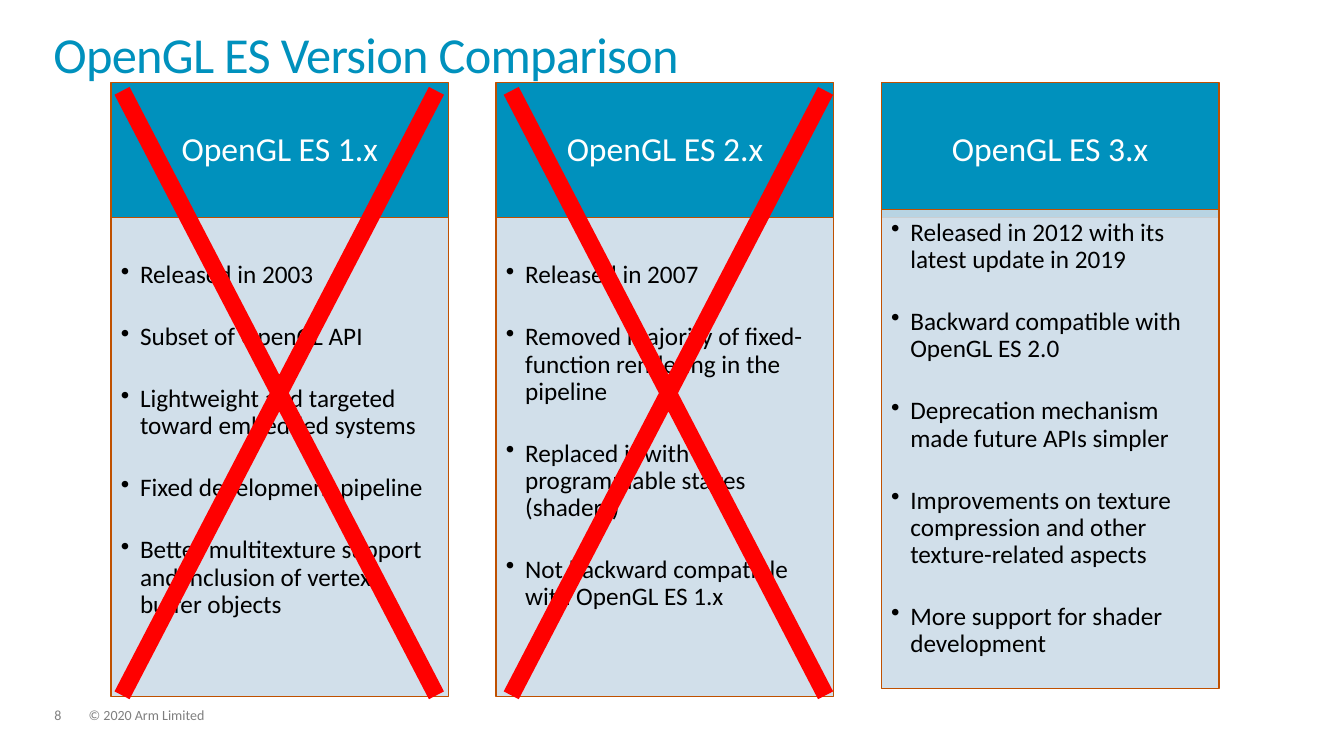
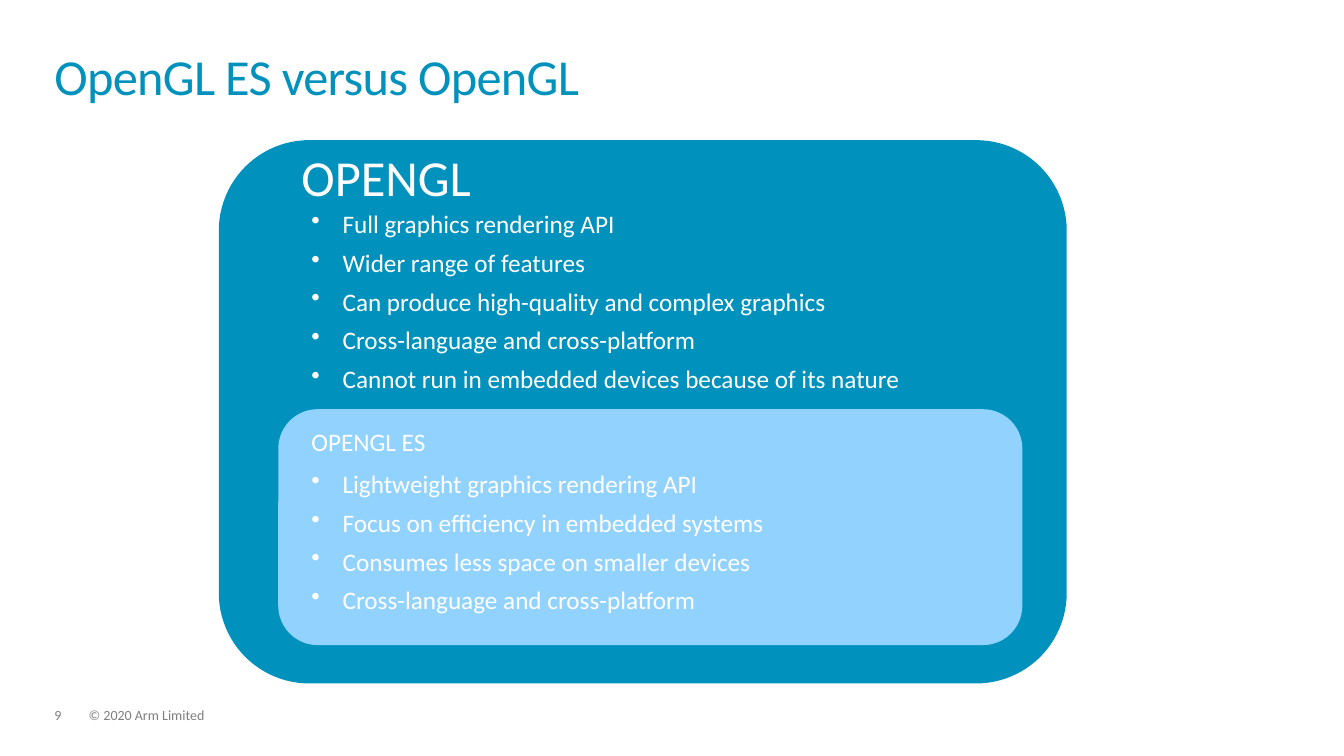
from pptx import Presentation
from pptx.dml.color import RGBColor
from pptx.enum.shapes import MSO_SHAPE as Shape
from pptx.enum.text import MSO_ANCHOR as Anchor, PP_ALIGN as Align
from pptx.oxml.ns import qn
from pptx.util import Inches, Pt
from lxml import etree

FONT = "Calibri"
BLUE, LIGHT_BLUE, PALE = "0091BD", "92D2FF", "CCDCE8"
ORANGE, RED, GREY = "BF5000", "FF0000", "7F7F7F"
WHITE, BLACK = "FFFFFF", "000000"
NO_INSETS = (0, 0, 0, 0)
BOX_INSETS = (0.1, 0.05, 0.1, 0.05)


def add_panel(page, kind, place, fill, outline=None):
    panel = page.shapes.add_shape(kind, *map(Inches, place))
    panel.shadow.inherit = False
    panel.fill.solid()
    panel.fill.fore_color.rgb = RGBColor.from_string(fill)
    if outline:
        panel.line.color.rgb = RGBColor.from_string(outline)
        panel.line.width = Pt(1)
    else:
        panel.line.fill.background()
    return panel


def write(box, lines, size, color, insets=NO_INSETS, anchor=Anchor.TOP,
          align=Align.LEFT, spacing=0.9, after=0, indent=0, tracking=0):
    frame = box.text_frame
    frame.word_wrap = True
    frame.vertical_anchor = anchor
    (frame.margin_left, frame.margin_top,
     frame.margin_right, frame.margin_bottom) = map(Inches, insets)
    for index, line in enumerate(lines):
        para = frame.add_paragraph() if index else frame.paragraphs[0]
        span = para.add_run()
        span.text = line
        if tracking:
            span._r.get_or_add_rPr().set("spc", str(tracking))
        if indent:
            props = para._p.get_or_add_pPr()
            props.set("marL", str(Inches(indent)))
            props.set("indent", str(-Inches(indent)))
            etree.SubElement(props, qn("a:buChar")).set("char", "•")
        para.alignment = align
        para.line_spacing = spacing
        para.space_after = Pt(after)
        para.font.name = FONT
        para.font.size = Pt(size)
        para.font.color.rgb = RGBColor.from_string(color)


deck = Presentation()
deck.slide_width, deck.slide_height = Inches(13.33), Inches(7.5)

# Shared title and footer
titles = [
    ("OpenGL ES Version Comparison", (0.53, 0.2, 12.2, 0.63)),
    ("OpenGL ES versus OpenGL", (0.54, 0.32, 12.23, 0.73)),
]
pages = []
for number, (title, place) in enumerate(titles, start=8):
    page = deck.slides.add_slide(deck.slide_layouts[6])
    pages.append(page)
    for text, left, width in [("© 2020 Arm Limited", 0.88, 9.13),
                              (str(number), 0.54, 0.34)]:
        footer = page.shapes.add_textbox(Inches(left), Inches(7.03),
                                         Inches(width), Inches(0.15))
        write(footer, [text], 10, GREY)
    title_box = page.shapes.add_textbox(*map(Inches, place))
    write(title_box, [title], 36, BLUE, anchor=Anchor.BOTTOM,
          spacing=0.85, tracking=-50)
comparison, versus = pages

# Version columns: heading, body top, top inset, bullets
versions = [
    ("OpenGL ES 1.x", 2.16, 0.44, [
        "Released in 2003",
        "Subset of OpenGL API",
        "Lightweight and targeted toward embedded systems",
        "Fixed development pipeline",
        "Better multitexture support and inclusion of vertex buffer objects",
    ]),
    ("OpenGL ES 2.x", 2.16, 0.44, [
        "Released in 2007",
        "Removed majority of fixed-function rendering in the pipeline",
        "Replaced it with programmable stages (shaders)",
        "Not backward compatible with OpenGL ES 1.x",
    ]),
    ("OpenGL ES 3.x", 2.08, 0.1, [
        "Released in 2012 with its latest update in 2019",
        "Backward compatible with OpenGL ES 2.0",
        "Deprecation mechanism made future APIs simpler",
        "Improvements on texture compression and other texture-related aspects",
        "More support for shader development",
    ]),
]
column_width, column_pitch = 3.35, 3.82
for index, (heading, top, inset, bullets) in enumerate(versions):
    left = 1.1 + index * column_pitch
    header = add_panel(comparison, Shape.RECTANGLE,
                       (left, 0.82, column_width, 1.34), BLUE, ORANGE)
    write(header, [heading], 24, WHITE, (0.19, 0.11, 0.19, 0.11),
          Anchor.MIDDLE, Align.CENTER)
    body = add_panel(comparison, Shape.RECTANGLE,
                     (left, top, column_width, 4.75), PALE, ORANGE)
    fill_color = body.fill._xPr.find(qn("a:solidFill"))[0]
    etree.SubElement(fill_color, qn("a:alpha")).set("val", "90000")
    write(body, bullets, 18, BLACK, (0.1, inset, 0.14, 0.16),
          after=24.8, indent=0.19)

# Crosses over the first two versions
for left in (-0.23, 3.63):
    cross = add_panel(comparison, Shape.MATH_MULTIPLY,
                      (left, -1.87, 6, 11.54), RED)
    cross.adjustments[0] = 0.028

# Nested panels
add_panel(versus, Shape.ROUNDED_RECTANGLE, (2.17, 1.39, 8.41, 5.39), BLUE)
add_panel(versus, Shape.ROUNDED_RECTANGLE, (2.76, 4.06, 7.38, 2.34), LIGHT_BLUE)

# Panel headings
for heading, size, insets, place in [
    ("OPENGL", 36, NO_INSETS, (2.99, 1.52, 1.87, 0.55)),
    ("OPENGL ES", 18, BOX_INSETS, (2.99, 4.21, 1.67, 0.37)),
]:
    box = versus.shapes.add_textbox(*map(Inches, place))
    write(box, [heading], size, WHITE, insets)

# Panel bullets
for place, bullets in [
    ((2.99, 2.02, 7.14, 2.34), [
        "Full graphics rendering API",
        "Wider range of features",
        "Can produce high-quality and complex graphics",
        "Cross-language and cross-platform",
        "Cannot run in embedded devices because of its nature",
    ]),
    ((2.99, 4.6, 6.67, 1.57), [
        "Lightweight graphics rendering API",
        "Focus on efficiency in embedded systems",
        "Consumes less space on smaller devices",
        "Cross-language and cross-platform",
    ]),
]:
    box = versus.shapes.add_textbox(*map(Inches, place))
    write(box, bullets, 18, WHITE, BOX_INSETS, spacing=1.0, after=6, indent=0.31)

deck.save("out.pptx")
